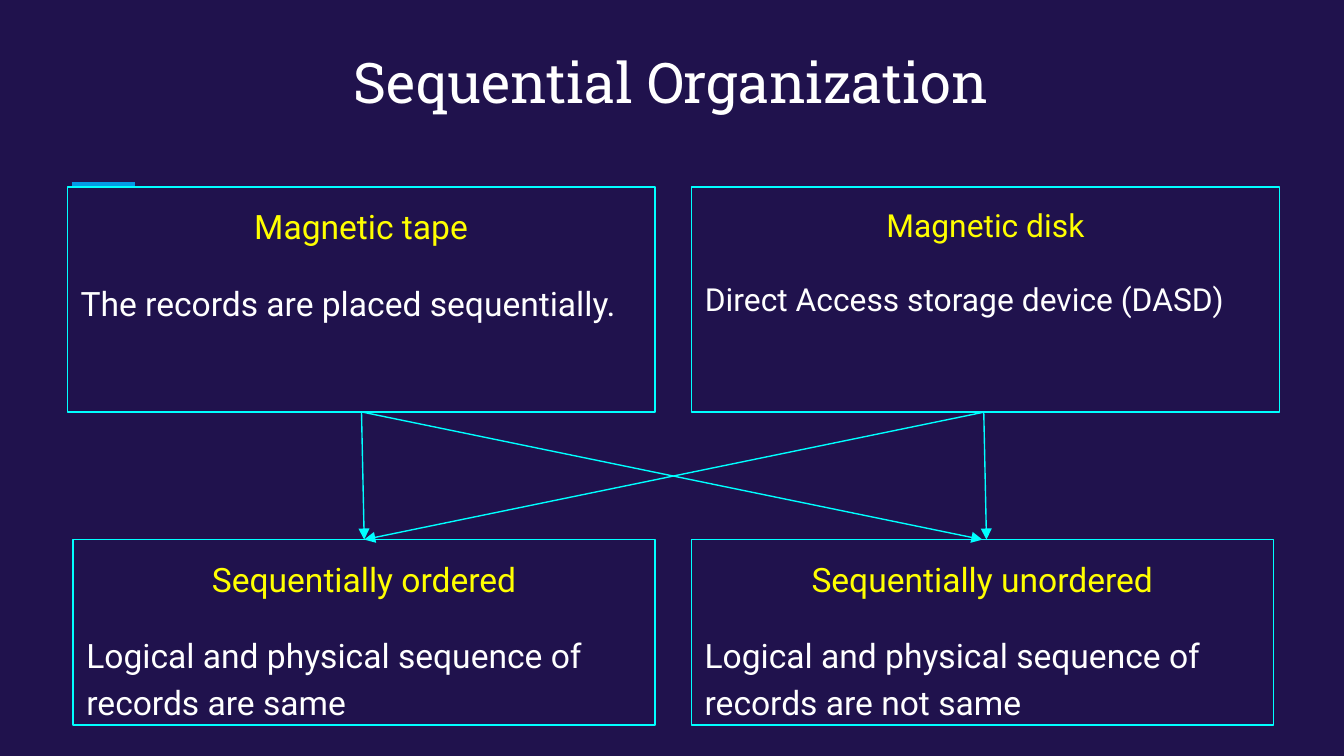
from lxml import etree
from pptx import Presentation
from pptx import util as u
from pptx.dml.color import RGBColor
from pptx.enum import shapes, text
from pptx.oxml.ns import qn

SCALE = 4572
CYAN, YELLOW, WHITE = "00FFFF", "FFFF00", "FFFFFF"
TAPE = (100, 278, 875, 335)
DISK = (1029, 278, 875, 335)
SAME = (109, 803, 866, 276)
MIXED = (1029, 803, 866, 276)


def px(n):
    return u.Emu(n * SCALE)


def tint(fmt, color):
    fmt.solid()
    fmt.fore_color.rgb = RGBColor.from_string(color)


def place(item, box):
    item.left, item.top, item.width, item.height = map(px, box)


def style(para, size, font, color, align):
    para.alignment = align
    for run in para.runs:
        run.font.size = u.Pt(size)
        run.font.name = font
        tint(run.font.fill, color)


def setup(frame, anchor):
    frame.word_wrap = True
    frame.auto_size = text.MSO_AUTO_SIZE.NONE
    frame.vertical_anchor = anchor
    frame.margin_left = frame.margin_right = px(20)
    frame.margin_top = frame.margin_bottom = px(20)


def title(item, words):
    place(item, (84, 41, 1830, 150))
    frame = item.text_frame
    frame.text = words
    setup(frame, text.MSO_ANCHOR.BOTTOM)
    style(frame.paragraphs[0], 30, "Roboto Slab", WHITE, text.PP_ALIGN.CENTER)


def card(item, box, head, body, size=18, after=0):
    place(item, box)
    item.fill.background()
    tint(item.line.fill, CYAN)
    item.line.width = u.Pt(0.75)
    frame = item.text_frame
    frame.text = head
    frame.add_paragraph().text = body
    setup(frame, text.MSO_ANCHOR.TOP)
    rows = ((YELLOW, text.PP_ALIGN.CENTER, 0, 0),
            (WHITE, text.PP_ALIGN.LEFT, 16, after))
    for para, (color, align, above, below) in zip(frame.paragraphs, rows):
        style(para, size, "Roboto", color, align)
        para.line_spacing = 1.15
        para.space_before = u.Pt(above)
        para.space_after = u.Pt(below)
        props = para._p.get_or_add_pPr()
        props.set("marL", "0")
        props.set("indent", "0")
        etree.SubElement(props, qn("a:buNone"))


def line(slide, start, end, color, width):
    item = slide.shapes.add_connector(
        shapes.MSO_CONNECTOR.STRAIGHT, *map(px, start + end))
    tint(item.line.fill, color)
    item.line.width = u.Pt(width)
    etree.SubElement(item.element.spPr, qn("a:effectLst"))
    return item


def arrow(slide, start, end):
    item = line(slide, start, end, CYAN, 0.75)
    tail = etree.SubElement(item.line._get_or_add_ln(), qn("a:tailEnd"))
    tail.set("type", "triangle")


def main():
    deck = Presentation()
    deck.slide_width, deck.slide_height = px(2000), px(1125)
    slide = deck.slides.add_slide(deck.slide_layouts[3])
    tint(slide.background.fill, "20124D")

    accent = line(slide, (107, 275), (201, 275), "039BE5", 3)
    slide.shapes.element.insert(2, accent.element)

    title(slide.shapes.title, "Sequential Organization")
    holders = slide.placeholders
    card(holders[1], TAPE, "Magnetic tape",
         "The records are placed sequentially.")
    card(holders[2], DISK, "Magnetic disk",
         "Direct Access storage device (DASD)", size=17)

    orders = ((SAME, "Sequentially ordered", "same"),
              (MIXED, "Sequentially unordered", "not same"))
    for box, head, state in orders:
        item = slide.shapes.add_shape(
            shapes.MSO_SHAPE.RECTANGLE, *map(px, box))
        item.shadow.inherit = False
        card(item, box, head,
             f"Logical and physical sequence of records are {state}", after=16)

    base, top = TAPE[1] + TAPE[3], SAME[1]
    for start, end in ((538, 542), (538, 1462), (1464, 1468), (1466, 542)):
        arrow(slide, (start, base), (end, top))
    deck.save("out.pptx")


if __name__ == "__main__":
    main()
